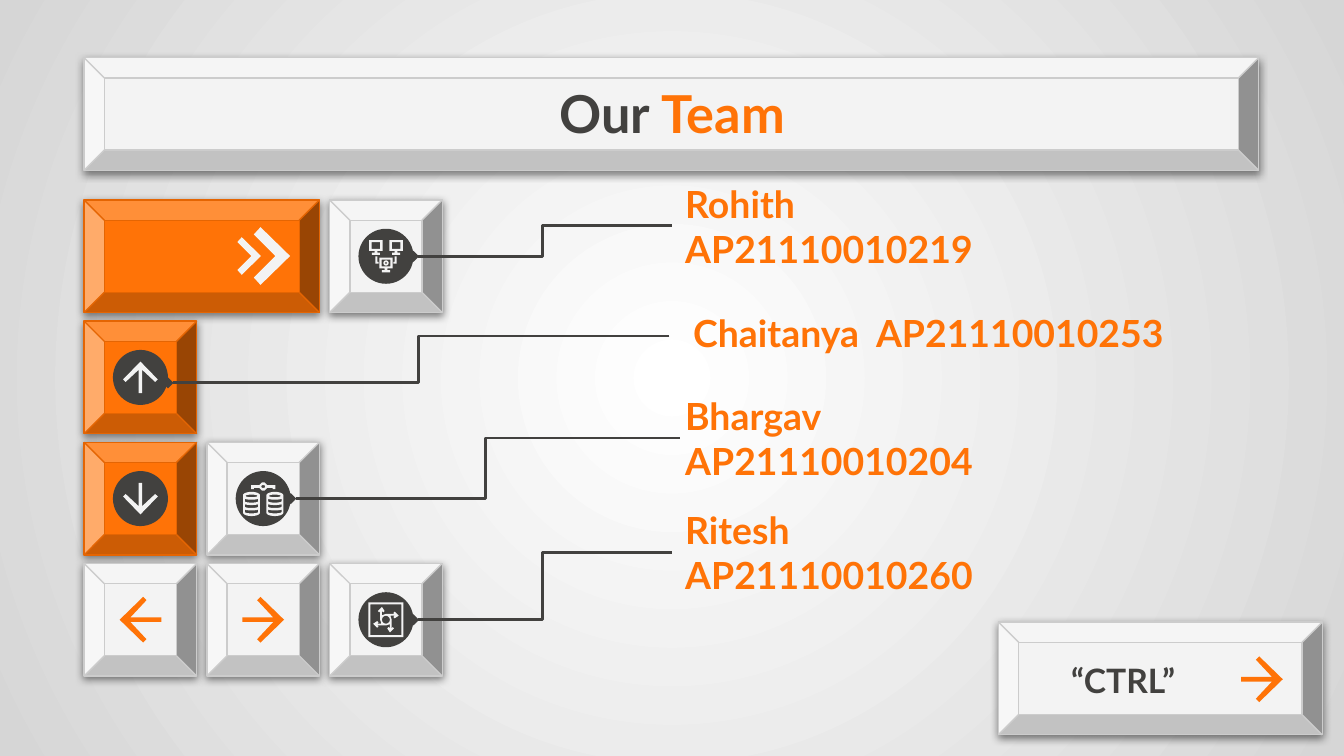
"""Build the "Our Team" slide: keyboard keys linked to the members' names."""
import math
from dataclasses import dataclass

import pptx
import pptx.dml.color
import pptx.enum.shapes
import pptx.enum.text
import pptx.oxml
import pptx.oxml.ns
import pptx.util
from pptx.util import Cm

SHAPE = pptx.enum.shapes.MSO_SHAPE
ALIGN = pptx.enum.text.PP_ALIGN
Contour = list[complex]


@dataclass(frozen=True)
class Theme:
    orange: str = "FF7307"
    orange_edge: str = "E46503"
    dark: str = "42413F"
    light: str = "F3F3F3"
    light_edge: str = "CCCCCC"
    glow: str = "FFFFFF"
    rim: str = "D6D6D6"
    font: str = "Lato"
    title_size: int = 28
    name_size: int = 20
    key_size: int = 18


@dataclass(frozen=True)
class Key:
    left: float
    top: float
    width: float = 2.13
    orange: bool = False


@dataclass(frozen=True)
class Member:
    lines: tuple[str, ...]
    text_box: tuple[float, float, float, float]
    line_start: tuple[float, float]
    cell: tuple[int, int]
    drop: float = 0


THEME = Theme()
KEY_HEIGHT = 2.13
DISC = 1.04
PITCH_X, PITCH_Y = 2.32, 2.29
LEFT, TOP = 1.59, 3.78
ICON_UNIT = Cm(2.54) / 100

FRAME = {"word_wrap": True, "auto_size": pptx.enum.text.MSO_AUTO_SIZE.NONE,
         "vertical_anchor": pptx.enum.text.MSO_ANCHOR.MIDDLE,
         **{f"margin_{side}": Cm(0.25) for side in ("left", "right", "top", "bottom")}}

MEMBERS = [
    Member(("Rohith", "AP21110010219"), (12.7, 3.76, 9.83, 1.02), (12.7, 4.27), (2, 0)),
    Member(("Chaitanya  AP21110010253",), (12.85, 5.77, 11.07, 1.02), (12.65, 6.35), (0, 1), 0.1),
    Member(("Bhargav", "AP21110010204"), (12.7, 7.77, 9.83, 1.02), (12.85, 8.28), (1, 2)),
    Member(("Ritesh", "AP21110010260"), (12.7, 9.93, 9.83, 1.02), (12.7, 10.44), (2, 3)),
]


def colour(value: str) -> pptx.dml.color.RGBColor:
    return pptx.dml.color.RGBColor.from_string(value)


def apply(target, values: dict) -> None:
    for name, value in values.items():
        setattr(target, name, value)


def cell_centre(column: int, row: int) -> tuple[float, float]:
    return LEFT + column * PITCH_X + KEY_HEIGHT / 2, TOP + row * PITCH_Y + KEY_HEIGHT / 2


def arc(centre: complex, rx: float, ry: float, start: int, end: int) -> Contour:
    angles = [math.radians(start + (end - start) * step / 12) for step in range(13)]
    return [centre + complex(rx * math.cos(a), ry * math.sin(a)) for a in angles]


def box(left: float, top: float, right: float, bottom: float) -> Contour:
    return [complex(left, top), complex(right, top), complex(right, bottom), complex(left, bottom)]


def mirror(contour: Contour) -> Contour:
    return [complex(-p.real, p.imag) for p in contour]


def shift(contour: Contour, offset: complex) -> Contour:
    return [p + offset for p in contour]


def arrow(quarter_turns: int, scale: float = 1) -> list[Contour]:
    upper = [-15.5 - 1.7j, 7.5 - 1.7j, -4.5 - 14.5j, -2 - 17j, 15.5 + 0j]
    outline = upper + [p.conjugate() for p in upper[-2::-1]]
    return [[p * scale * 1j ** quarter_turns for p in outline]]


def chevron(scale: float = 1) -> list[Contour]:
    outline = [13.5, -8.5 - 21.5j, -13.5 - 16j, 2.5, -13.5 + 16j, -8.5 + 21.5j]
    return [[complex(p) * scale for p in outline]]


def databases() -> list[Contour]:
    barrel = [arc(-6.5j, 6.3, 2.5, 180, 360) + arc(6.5j, 6.3, 2.5, 0, 180),
              arc(-6j, 4.5, 1, 0, 360)]
    barrel += [arc(complex(0, y), 5, 0.8, 180, 0) + arc(complex(0, y + 2), 5, 1, 0, 180)
               for y in (-4, 0, 4)]
    half_link = [-1 - 12j, -3 - 10j, -9 - 10j, -9 - 7j, -7 - 7j, -7 - 8j, -3 - 8j, -1 - 6j]
    hole = [-1 - 10j, 1 - 10j, 1.5 - 9j, 1 - 8j, -1 - 8j, -1.5 - 9j]
    barrels = [shift(part, x + 4j) for x in (-8.7, 8.7) for part in barrel]
    return barrels + [half_link + mirror(half_link)[::-1], hole]


def network() -> list[Contour]:
    half = [-5 + 0j, -5 + 8j, -1 + 8j, -1 + 9.3j, -3 + 9.3j, -3 + 11j]
    monitor = [half + mirror(half)[::-1], box(-3.2, 1.5, 3.2, 6.5)]
    screens = [shift(part, at) for at in (-7.5 - 12j, 7.5 - 12j, 1j) for part in monitor]
    hook = [-8, -8 + 5.5j, -5.5 + 5.5j, -5.5 + 4.2j, -6.5 + 4.2j, -6.5]
    hook = [complex(p) for p in hook]
    return screens + [hook, mirror(hook), arc(5j, 2, 2, 0, 360), arc(5j, 0.7, 0.7, 0, 360)]


def pinwheel() -> list[Contour]:
    arm = [-3.5 + 3j, -6.5 + 3j, -5.5 + 2j, -6.5 + 1j, -9.5 + 3j, -6.5 + 6j,
           -5.5 + 5j, -6.5 + 4.3j, 4.3j, 2.5 + 3.5j]
    rotor = [p * (-1j) ** turn for turn in range(4) for p in arm]
    return [box(-13, -13, 13, 13), box(-11.5, -11.5, 11.5, 11.5), rotor, arc(0j, 3, 3, 0, 360)]


def draw_icon(slide, centre: tuple[float, float], contours: list[Contour], fill: str) -> None:
    paths = [[(p.real * ICON_UNIT, p.imag * ICON_UNIT) for p in contour] for contour in contours]
    builder = slide.shapes.build_freeform(*paths[0][0])
    for index, points in enumerate(paths):
        if index:
            builder.move_to(*points[0])
        builder.add_line_segments(points[1:], close=True)
    icon = builder.convert_to_shape(Cm(centre[0]), Cm(centre[1]))
    icon.fill.solid()
    icon.fill.fore_color.rgb = colour(fill)
    icon.line.fill.background()
    icon.shadow.inherit = False


def draw_key(slide, key: Key) -> None:
    bevel = slide.shapes.add_shape(SHAPE.BEVEL, Cm(key.left), Cm(key.top), Cm(key.width), Cm(KEY_HEIGHT))
    bevel.adjustments[0] = 0.18
    bevel.fill.solid()
    bevel.fill.fore_color.rgb = colour(THEME.orange if key.orange else THEME.light)
    bevel.line.color.rgb = colour(THEME.orange_edge if key.orange else THEME.light_edge)
    bevel.line.width = pptx.util.Pt(0.75)
    bevel.shadow.inherit = False
    bevel.element.spPr.find(pptx.oxml.ns.qn("a:effectLst")).append(pptx.oxml.parse_xml(
        f'<a:outerShdw {pptx.oxml.ns.nsdecls("a")} blurRad="57150" dist="19050" dir="5400000" '
        'algn="bl" rotWithShape="0"><a:srgbClr val="000000"><a:alpha val="50000"/></a:srgbClr></a:outerShdw>'))


def draw_disc(slide, centre: tuple[float, float]) -> None:
    disc = slide.shapes.add_shape(SHAPE.OVAL, Cm(centre[0] - DISC / 2), Cm(centre[1] - DISC / 2),
                                  Cm(DISC), Cm(DISC))
    disc.fill.solid()
    disc.fill.fore_color.rgb = colour(THEME.dark)
    disc.line.fill.background()
    disc.shadow.inherit = False


def write(shape, lines: list[list[tuple[str, str]]], size: int, align=ALIGN.LEFT) -> None:
    apply(shape.text_frame, FRAME)
    for index, runs in enumerate(lines):
        paragraph = shape.text_frame.add_paragraph() if index else shape.text_frame.paragraphs[0]
        paragraph.alignment = align
        for text, tint in runs:
            run = paragraph.add_run()
            run.text = text
            apply(run.font, {"name": THEME.font, "size": pptx.util.Pt(size), "bold": True})
            run.font.color.rgb = colour(tint)


def draw_member(slide, member: Member) -> None:
    x, y = cell_centre(*member.cell)
    ends = (*member.line_start, x + DISC / 2, y + member.drop)
    link = slide.shapes.add_connector(pptx.enum.shapes.MSO_CONNECTOR.ELBOW, *map(Cm, ends))
    link.line.color.rgb = colour(THEME.dark)
    link.line.width = pptx.util.Pt(1.5)
    namespace = pptx.oxml.ns.nsdecls("a")
    link.line._get_or_add_ln().append(pptx.oxml.parse_xml(f'<a:tailEnd {namespace} type="diamond"/>'))
    link.element.spPr.append(pptx.oxml.parse_xml(f"<a:effectLst {namespace}/>"))
    label = slide.shapes.add_textbox(*map(Cm, member.text_box))
    write(label, [[(line, THEME.orange)] for line in member.lines], THEME.name_size)


def paint_background(slide) -> None:
    fill = slide.background.fill
    fill.gradient()
    for stop, tint in zip(fill.gradient_stops, (THEME.glow, THEME.rim)):
        stop.color.rgb = colour(tint)
    linear = slide.element.find(".//" + pptx.oxml.ns.qn("a:lin"))
    linear.getparent().replace(linear, pptx.oxml.parse_xml(
        f'<a:path {pptx.oxml.ns.nsdecls("a")} path="circle">'
        '<a:fillToRect l="50000" t="50000" r="50000" b="50000"/></a:path>'))


def main() -> None:
    deck = pptx.Presentation()
    apply(deck, {"slide_width": Cm(25.4), "slide_height": Cm(14.29)})
    slide = deck.slides.add_slide(deck.slide_layouts[5])
    paint_background(slide)

    draw_key(slide, Key(LEFT, 1.09, 22.2))
    title = slide.shapes.title
    apply(title, {"left": Cm(2), "top": Cm(1.5), "width": Cm(21.4), "height": Cm(1.27)})
    write(title, [[("Our ", THEME.dark), ("Team", THEME.orange)]], THEME.title_size, ALIGN.CENTER)
    slide.shapes.element.append(title.element)

    draw_key(slide, Key(LEFT, TOP, PITCH_X + KEY_HEIGHT, True))
    for column, row in [(2, 0), (0, 1), (0, 2), (1, 2), (0, 3), (1, 3), (2, 3)]:
        draw_key(slide, Key(LEFT + column * PITCH_X, TOP + row * PITCH_Y, orange=row in (1, 2) and column == 0))
    for cell in [(2, 0), (0, 1), (0, 2), (1, 2), (2, 3)]:
        draw_disc(slide, cell_centre(*cell))
    for member in MEMBERS:
        draw_member(slide, member)

    draw_key(slide, Key(18.87, 11.76, 6.12))
    ctrl = slide.shapes.add_textbox(Cm(19.56), Cm(12.37), Cm(3.33), Cm(0.97))
    write(ctrl, [[("“CTRL”", THEME.dark)]], THEME.key_size, ALIGN.CENTER)

    for centre, contours, tint in [
        ((5.14, 4.84), chevron(), THEME.light), ((4.71, 4.84), chevron(0.65), THEME.light),
        (cell_centre(2, 0), network(), THEME.light), (cell_centre(0, 1), arrow(3, 0.76), THEME.light),
        (cell_centre(0, 2), arrow(1, 0.76), THEME.light), (cell_centre(1, 2), databases(), THEME.light),
        (cell_centre(0, 3), arrow(2), THEME.orange), (cell_centre(1, 3), arrow(0), THEME.orange),
        (cell_centre(2, 3), pinwheel(), THEME.light), ((23.85, 12.84), arrow(0), THEME.orange),
    ]:
        draw_icon(slide, centre, contours, tint)
    deck.save("out.pptx")


if __name__ == "__main__":
    main()
